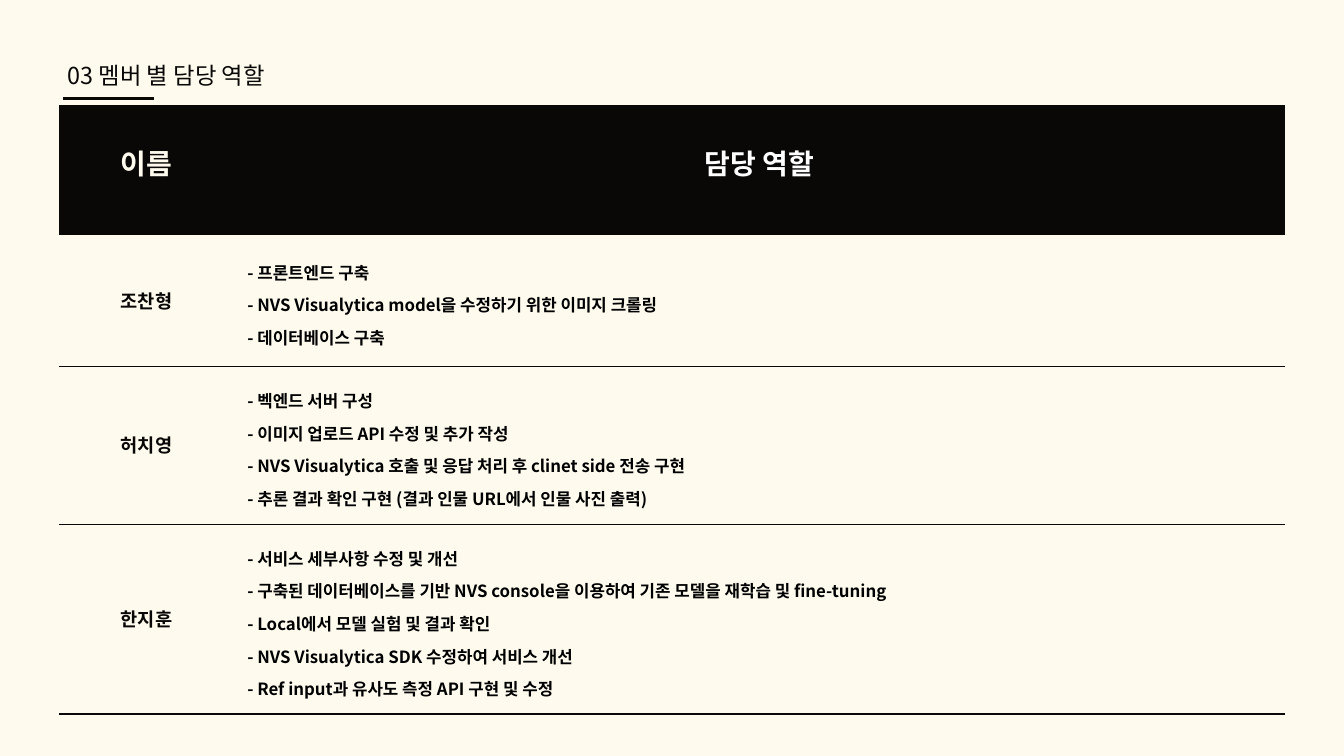
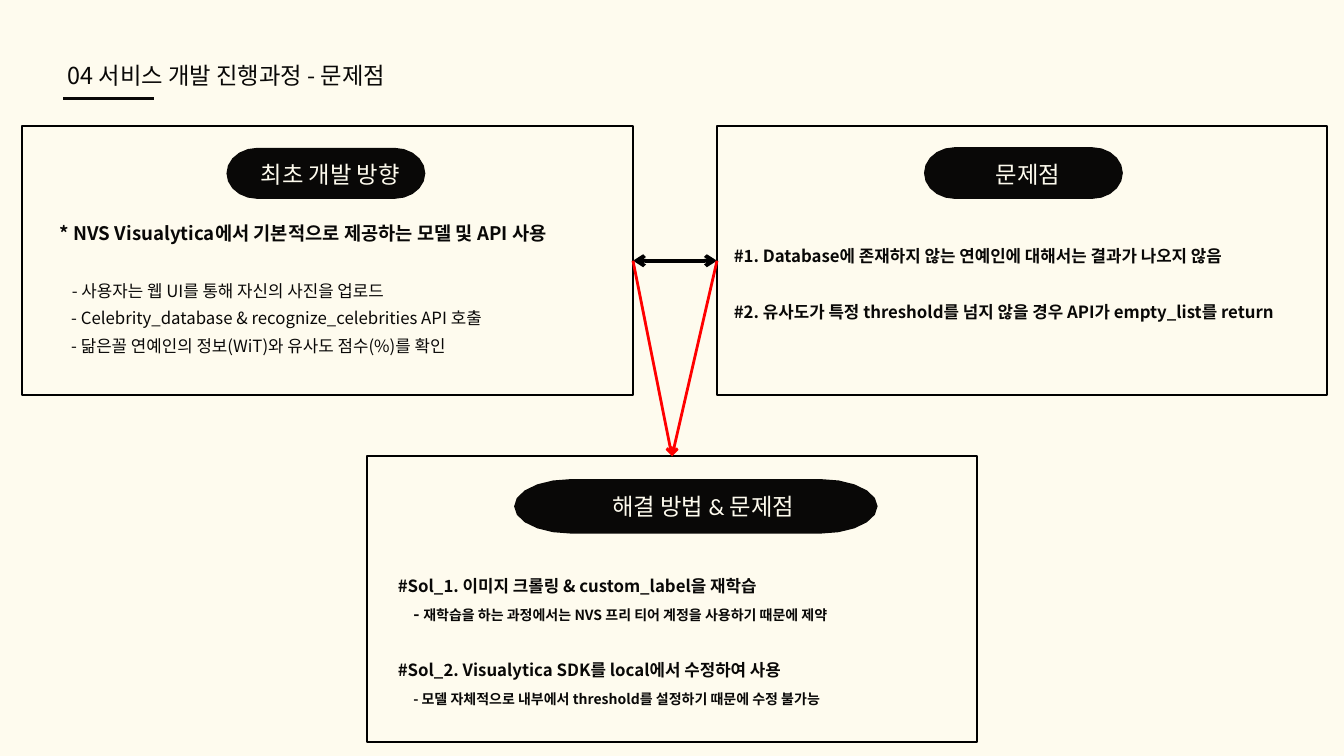
import math
from dataclasses import dataclass

from lxml import etree
from pptx import Presentation
from pptx.dml.color import RGBColor
from pptx.enum.shapes import MSO_CONNECTOR, MSO_SHAPE
from pptx.enum.text import MSO_ANCHOR, MSO_AUTO_SIZE, PP_ALIGN
from pptx.oxml.ns import qn
from pptx.shapes.autoshape import Shape
from pptx.shapes.connector import Connector
from pptx.slide import Slide
from pptx.table import _Cell
from pptx.text.text import TextFrame
from pptx.util import Inches, Pt

STRAIGHT = MSO_CONNECTOR.STRAIGHT
RECTANGLE = MSO_SHAPE.RECTANGLE
LEFT, CENTER = PP_ALIGN.LEFT, PP_ALIGN.CENTER
TOP_SIDE, LEFT_SIDE, RIGHT_SIDE = 0, 1, 3


@dataclass(frozen=True)
class Theme:
    cream: str = "FEFBEE"
    ink: str = "090807"
    black: str = "000000"
    white: str = "FFFFFF"
    red: str = "FF0000"
    font: str = "Noto Sans CJK SC"
    table_font: str = "Noto Sans CJK KR"
    heading_font: str = "Calibri"
    header_size: int = 30
    title_size: int = 25
    lead_size: int = 20
    body_size: int = 18
    note_size: int = 15
    title_leading: int = 35
    body_leading: int = 30
    name_leading: int = 28


THEME = Theme()


@dataclass(frozen=True)
class Style:
    size: int
    leading: int
    font: str = THEME.font
    color: str = THEME.ink
    bold: bool = False
    align: PP_ALIGN = LEFT


TITLE = Style(THEME.title_size, THEME.title_leading)
PILL = Style(THEME.title_size, THEME.title_leading, THEME.heading_font, THEME.cream, align=CENTER)
BODY = Style(THEME.body_size, THEME.body_leading)
BOLD = Style(THEME.body_size, THEME.body_leading, bold=True)
LEAD = Style(THEME.lead_size, THEME.body_leading, bold=True)
NOTE = Style(THEME.note_size, THEME.body_leading, bold=True)
NAME_HEADER = Style(THEME.header_size, THEME.name_leading, THEME.heading_font, THEME.cream, True, CENTER)
ROLE_HEADER = Style(THEME.header_size, THEME.name_leading, THEME.heading_font, THEME.white, True, CENTER)
NAME = Style(THEME.lead_size, THEME.name_leading, THEME.table_font, THEME.ink, True, CENTER)
ROLE = Style(THEME.body_size, THEME.title_leading, THEME.table_font, THEME.black, True)


@dataclass(frozen=True)
class Line:
    """One paragraph; indent in inches, gap is the space before in points."""
    text: str
    style: Style
    indent: float = 0
    gap: int = 0
    dash: Style | None = None


@dataclass(frozen=True)
class Box:
    left: float
    top: float
    width: float
    height: float


@dataclass(frozen=True)
class Panel:
    frame: Box
    pill: Box
    pill_curve: float
    label: str
    label_box: Box
    body: Box
    lines: tuple[Line, ...]


@dataclass(frozen=True)
class Member:
    name: str
    roles: tuple[str, ...]


MEMBERS = (
    Member("조찬형", (
        "- 프론트엔드 구축",
        "- NVS Visualytica model을 수정하기 위한 이미지 크롤링",
        "- 데이터베이스 구축",
    )),
    Member("허치영", (
        "- 벡엔드 서버 구성",
        "- 이미지 업로드 API 수정 및 추가 작성",
        "- NVS Visualytica 호출 및 응답 처리 후 clinet side 전송 구현",
        "- 추론 결과 확인 구현 (결과 인물 URL에서 인물 사진 출력)",
    )),
    Member("한지훈", (
        "- 서비스 세부사항 수정 및 개선",
        "- 구축된 데이터베이스를 기반 NVS console을 이용하여 기존 모델을 재학습 및 fine-tuning",
        "- Local에서 모델 실험 및 결과 확인",
        "- NVS Visualytica SDK 수정하여 서비스 개선",
        "- Ref input과 유사도 측정 API 구현 및 수정",
    )),
)

DIRECTION = Panel(
    Box(0.33, 1.88, 9.09, 4), Box(3.37, 2.2, 2.96, 0.76), 0.46,
    "최초 개발 방향", Box(3.75, 2.31, 2.33, 0.49), Box(0.89, 3.22, 8.44, 2.08), (
        Line("* NVS Visualytica에서 기본적으로 제공하는 모델 및 API 사용", LEAD),
        Line("- 사용자는 웹 UI를 통해 자신의 사진을 업로드", BODY, 0.18, 30),
        Line("- Celebrity_database & recognize_celebrities API 호출", BODY, 0.17),
        Line("- 닮은꼴 연예인의 정보(WiT)와 유사도 점수(%)를 확인", BODY, 0.17),
    ))
PROBLEM = Panel(
    Box(10.67, 1.88, 9.08, 4), Box(13.75, 2.19, 2.96, 0.77), 0.46,
    "문제점", Box(14.13, 2.31, 2.33, 0.49), Box(10.92, 3.54, 8.44, 1.25), (
        Line("#1. Database에 존재하지 않는 연예인에 대해서는 결과가 나오지 않음", BOLD),
        Line("#2. 유사도가 특정 threshold를 넘지 않을 경우 API가 empty_list를 return", BOLD, gap=30),
    ))
SOLUTION = Panel(
    Box(5.46, 6.79, 9.08, 4.25), Box(7.65, 7.13, 5.41, 0.81), 0.84,
    "해결 방법 & 문제점", Box(8.33, 7.25, 4.27, 0.49), Box(5.92, 8.45, 8.44, 2.08), (
        Line("#Sol_1. 이미지 크롤링 & custom_label을 재학습", BOLD),
        Line("재학습을 하는 과정에서는 NVS 프리 티어 계정을 사용하기 때문에 제약", NOTE, 0.23, dash=BOLD),
        Line("#Sol_2. Visualytica SDK를 local에서 수정하여 사용", BOLD, gap=30),
        Line("- 모델 자체적으로 내부에서 threshold를 설정하기 때문에 수정 불가능", NOTE, 0.23),
    ))


def color(value: str) -> RGBColor:
    return RGBColor.from_string(value)


def inches(box: Box) -> tuple[Inches, ...]:
    return tuple(Inches(value) for value in (box.left, box.top, box.width, box.height))


def add_run(paragraph, text: str, style: Style) -> None:
    run = paragraph.add_run()
    run.text = text
    run.font.name = style.font
    run.font.size = Pt(style.size)
    run.font.bold = style.bold
    run.font.color.rgb = color(style.color)


def write_lines(frame: TextFrame, lines: tuple[Line, ...]) -> None:
    for index, line in enumerate(lines):
        paragraph = frame.add_paragraph() if index else frame.paragraphs[0]
        paragraph.alignment = line.style.align
        paragraph.line_spacing = Pt(line.style.leading)
        if line.gap:
            paragraph.space_before = Pt(line.gap)
        if line.indent:
            paragraph._p.get_or_add_pPr().set("marL", str(Inches(line.indent)))
        if line.dash:
            add_run(paragraph, "- ", line.dash)
        add_run(paragraph, line.text, line.style)


def add_text(shapes, box: Box, lines: tuple[Line, ...]) -> None:
    frame = shapes.add_textbox(*inches(box)).text_frame
    frame.margin_left = frame.margin_top = frame.margin_right = frame.margin_bottom = 0
    frame.word_wrap = True
    frame.auto_size = MSO_AUTO_SIZE.SHAPE_TO_FIT_TEXT
    write_lines(frame, lines)


def style_connector(connector: Connector, line_color: str, width: float, ends: tuple[str, ...] = ()) -> None:
    """Ends are headEnd and tailEnd, in that order."""
    connector.line.color.rgb = color(line_color)
    connector.line.width = Pt(width)
    line = connector.line._get_or_add_ln()
    for end in ends:
        etree.SubElement(line, qn(f"a:{end}"), type="arrow")
    etree.SubElement(connector._element.spPr, qn("a:effectLst"))


def add_titled_slide(presentation, title: str, title_width: float) -> Slide:
    slide = presentation.slides.add_slide(presentation.slide_layouts[6])
    slide.background.fill.solid()
    slide.background.fill.fore_color.rgb = color(THEME.cream)
    underline = slide.shapes.add_connector(
        STRAIGHT, Inches(0.94), Inches(1.47), Inches(2.29), Inches(1.47))
    style_connector(underline, THEME.ink, 3)
    add_text(slide.shapes, Box(1.01, 0.84, title_width, 0.49), (Line(title, TITLE),))
    return slide


def set_borders(cell: _Cell, top: float, bottom: float) -> None:
    """Widths are in points; the left and right sides stay open."""
    properties = cell._tc.get_or_add_tcPr()
    for side, width in (("L", 0), ("R", 0), ("T", top), ("B", bottom)):
        border = etree.SubElement(properties, qn(f"a:ln{side}"), w=str(Pt(width)))
        if width:
            fill = etree.SubElement(border, qn("a:solidFill"))
            etree.SubElement(fill, qn("a:srgbClr"), val=THEME.ink)
        else:
            etree.SubElement(border, qn("a:noFill"))


def fill_cell(cell: _Cell, lines: tuple[Line, ...], top: float, bottom: float, fill: str | None = None) -> None:
    cell.vertical_anchor = MSO_ANCHOR.MIDDLE
    cell.margin_left = cell.margin_top = cell.margin_right = cell.margin_bottom = Inches(0.2)
    set_borders(cell, top, bottom)
    if fill:
        cell.fill.solid()
        cell.fill.fore_color.rgb = color(fill)
    else:
        cell.fill.background()
    write_lines(cell.text_frame, lines)


def add_role_table(slide: Slide) -> None:
    heights = [1.93] + [max(1.96, len(member.roles) * ROLE.leading / 72 + 0.4) for member in MEMBERS]
    box = Box(0.88, 1.56, 18.24, sum(heights))
    table = slide.shapes.add_table(len(heights), 2, *inches(box)).table
    table.first_row = table.horz_banding = False
    for column, width in zip(table.columns, (2.6, 15.64)):
        column.width = Inches(width)
    for row, height in zip(table.rows, heights):
        row.height = Inches(height)
    headers = (Line("이름", NAME_HEADER), Line("담당 역할", ROLE_HEADER))
    for column, header in enumerate(headers):
        fill_cell(table.cell(0, column), (header,), 0, 0.75, THEME.ink)
    for row, member in enumerate(MEMBERS, start=1):
        bottom = 3 if row == len(MEMBERS) else 0.75
        fill_cell(table.cell(row, 0), (Line(member.name, NAME),), 0.75, bottom)
        fill_cell(table.cell(row, 1), tuple(Line(role, ROLE) for role in member.roles), 0.75, bottom)


def add_pill(shapes, box: Box, curve: float) -> None:
    """Draw a bar whose ends are half ellipses, each curve inches wide."""
    middle = box.top + box.height / 2
    points = []
    for center, start in ((box.left + box.width - curve, -90), (box.left + curve, 90)):
        for step in range(0, 181, 18):
            angle = math.radians(start + step)
            points.append((Inches(center + curve * math.cos(angle)),
                           Inches(middle + box.height / 2 * math.sin(angle))))
    builder = shapes.build_freeform(*points[0])
    builder.add_line_segments(points[1:], close=True)
    pill = builder.convert_to_shape()
    pill.shadow.inherit = False
    pill.fill.solid()
    pill.fill.fore_color.rgb = color(THEME.ink)
    pill.line.fill.background()


def add_panel(slide: Slide, panel: Panel) -> Shape:
    heading = slide.shapes.add_group_shape()
    add_pill(heading.shapes, panel.pill, panel.pill_curve)
    add_text(heading.shapes, panel.label_box, (Line(panel.label, PILL),))
    frame = slide.shapes.add_shape(RECTANGLE, *inches(panel.frame))
    frame.shadow.inherit = False
    frame.fill.background()
    frame.line.color.rgb = color(THEME.black)
    frame.line.width = Pt(2)
    add_text(slide.shapes, panel.body, panel.lines)
    return frame


def join(slide: Slide, start: Shape, start_side: int, end: Shape, end_side: int,
         line_color: str, width: float, ends: tuple[str, ...]) -> None:
    connector = slide.shapes.add_connector(STRAIGHT, 0, 0, 0, 0)
    connector.begin_connect(start, start_side)
    connector.end_connect(end, end_side)
    style_connector(connector, line_color, width, ends)


def main() -> None:
    presentation = Presentation()
    presentation.slide_width = Inches(20)
    presentation.slide_height = Inches(11.25)

    add_role_table(add_titled_slide(presentation, "03 멤버 별 담당 역할", 3.91))

    slide = add_titled_slide(presentation, "04 서비스 개발 진행과정 - 문제점", 13.49)
    direction, problem, solution = (add_panel(slide, panel) for panel in (DIRECTION, PROBLEM, SOLUTION))
    join(slide, direction, RIGHT_SIDE, problem, LEFT_SIDE, THEME.black, 4, ("headEnd", "tailEnd"))
    for source, side in ((direction, RIGHT_SIDE), (problem, LEFT_SIDE)):
        join(slide, source, side, solution, TOP_SIDE, THEME.red, 3, ("tailEnd",))

    presentation.save("out.pptx")


if __name__ == "__main__":
    main()
